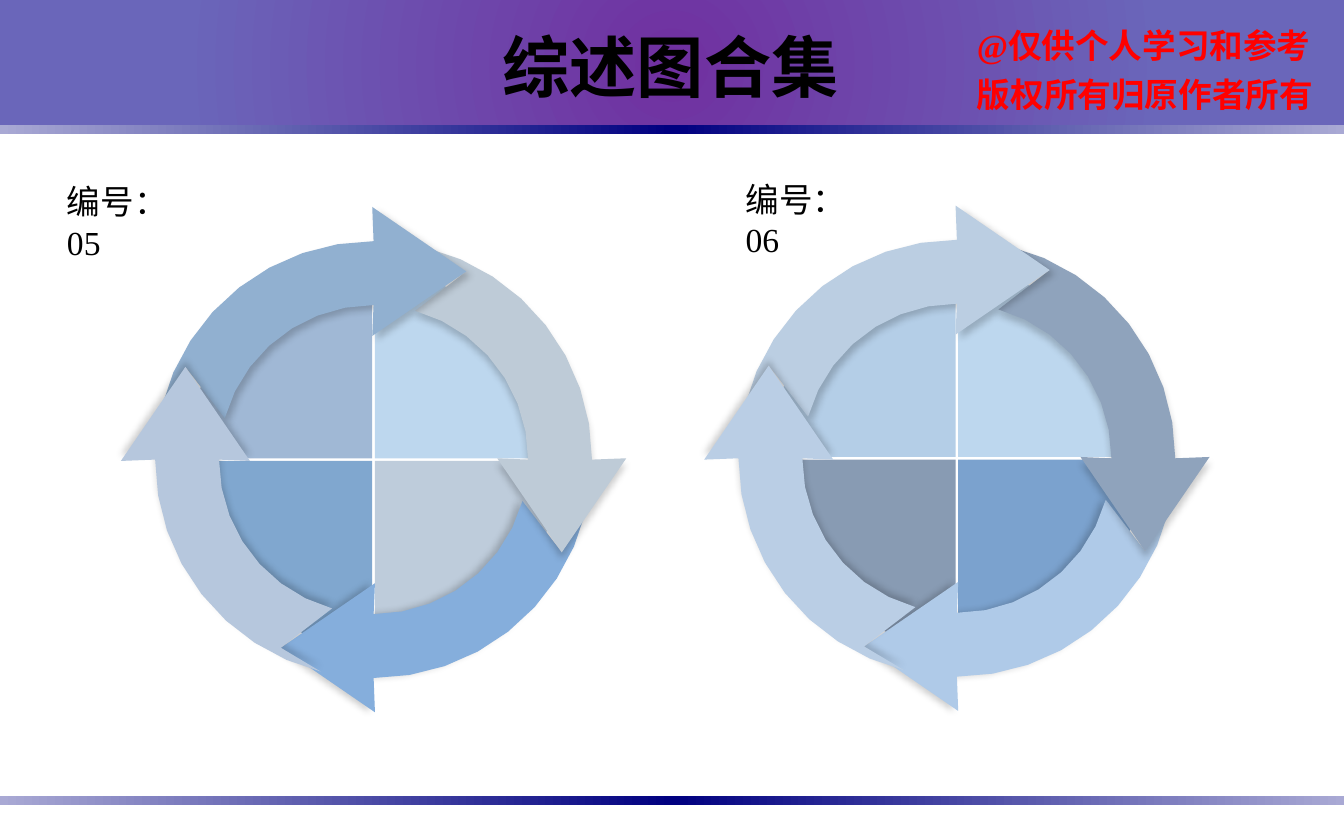
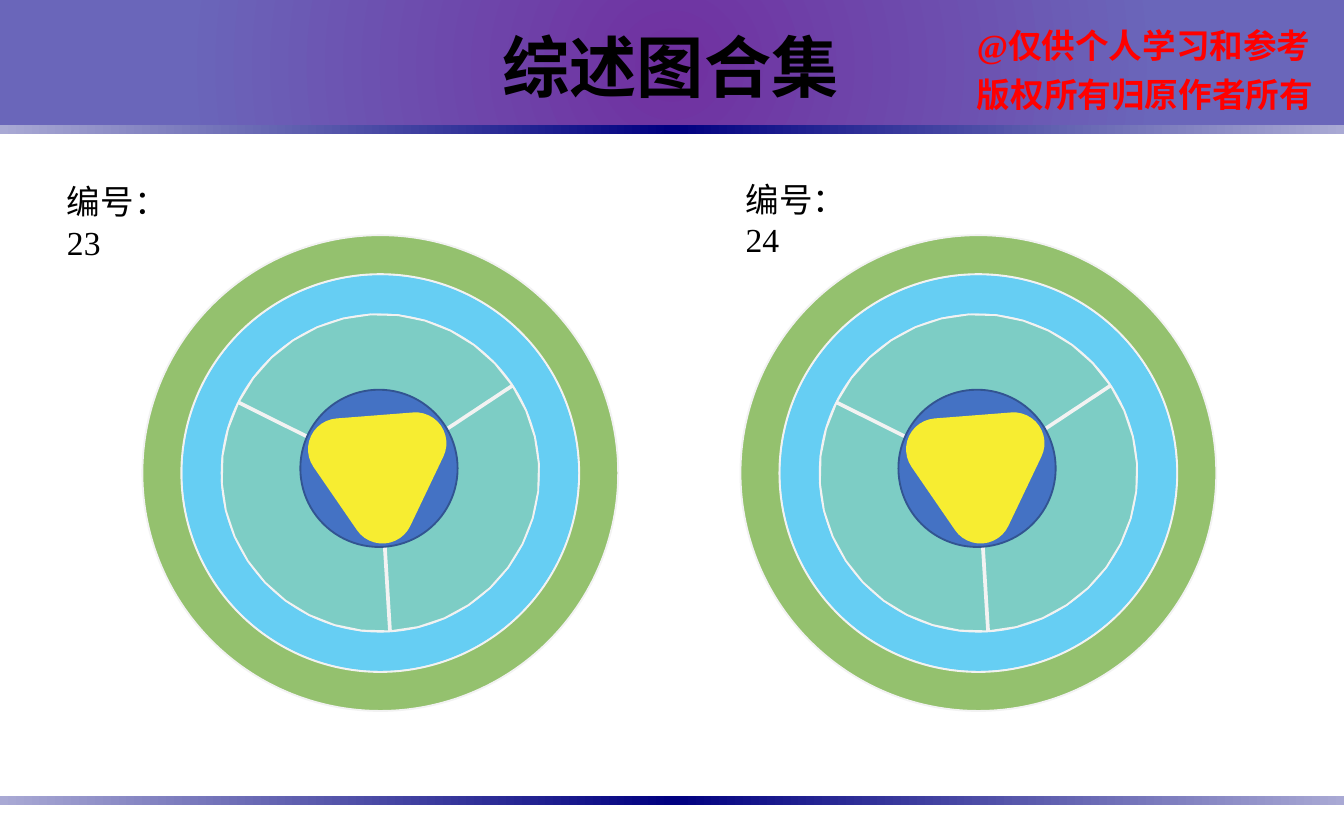
from dataclasses import dataclass
from math import cos, radians, sin

from lxml.etree import SubElement
from pptx import Presentation
from pptx.dml.color import RGBColor as Color
from pptx.enum.shapes import MSO_SHAPE as Preset
from pptx.enum.text import MSO_AUTO_SIZE as AutoSize, PP_ALIGN as Align
from pptx.oxml.ns import qn
from pptx.util import Inches, Pt

COLUMNS, ROWS = 100, 62.5
CELL = Inches(0.1)


@dataclass(frozen=True)
class Theme:
    title_font: str = "Arial"
    body_font: str = "Times New Roman"
    title_size: int = 36
    body_size: int = 18
    ink: str = "000000"
    notice: str = "FF0000"
    header: tuple = ((0, "7030A0"), (73, "6A66BA"))
    rule: tuple = ((0, "A9A9D4"), (50, "000080"), (100, "A9A9D4"))
    outline: str = "F2F2F2"
    outer_ring: str = "94C16E"
    middle_ring: str = "66CEF3"
    core: str = "7DCDC5"
    hub: str = "4472C4"
    hub_line: str = "325491"
    badge: str = "F7ED31"


def polar(center, radius, angle):
    """Point at a clockwise angle in degrees, measured from the right."""
    return (center[0] + radius * cos(radians(angle)),
            center[1] + radius * sin(radians(angle)))


def arc(center, radius, start, sweep):
    """Points along an arc, about ten degrees apart."""
    steps = round(abs(sweep) / 10)
    return [polar(center, radius, start + sweep * step / steps)
            for step in range(steps + 1)]


class Deck:
    def __init__(self, theme):
        self.theme = theme
        self.presentation = Presentation()
        self.presentation.slide_width = int(COLUMNS * CELL)
        self.presentation.slide_height = int(ROWS * CELL)
        self.slide = None

    def cells(self, *lengths):
        return [round(length * CELL) for length in lengths]

    # Elements
    def style(self, shape, fill=None, line=None):
        shape.shadow.inherit = False
        if fill:
            shape.fill.solid()
            shape.fill.fore_color.rgb = Color.from_string(fill)
        if line:
            shape.line.color.rgb = Color.from_string(line)
            shape.line.width = Pt(1)
        else:
            shape.line.fill.background()
        return shape

    def preset(self, kind, box, fill=None, line=None):
        shape = self.slide.shapes.add_shape(kind, *self.cells(*box))
        return self.style(shape, fill, line)

    def circle(self, center, radius, fill, line, kind=Preset.OVAL):
        box = (center[0] - radius, center[1] - radius, 2 * radius, 2 * radius)
        return self.preset(kind, box, fill, line)

    def ring(self, center, outer, inner, fill, line):
        shape = self.circle(center, outer, fill, line, Preset.DONUT)
        shape.adjustments[0] = (outer - inner) / (2 * outer)

    def gradient(self, box, stops, radial=False):
        shape = self.preset(Preset.RECTANGLE, box)
        shape.fill.gradient()
        fill = shape._element.spPr.find(qn("a:gradFill"))
        for child in list(fill):
            fill.remove(child)
        stop_list = SubElement(fill, qn("a:gsLst"))
        for position, color in stops:
            stop = SubElement(stop_list, qn("a:gs"), pos=str(position * 1000))
            SubElement(stop, qn("a:srgbClr"), val=color)
        if radial:
            path = SubElement(fill, qn("a:path"), path="circle")
            SubElement(path, qn("a:fillToRect"),
                       dict.fromkeys("ltrb", "50000"))
        else:
            SubElement(fill, qn("a:lin"), ang="0", scaled="1")

    def outline(self, points, fill, line=None):
        start, *others = [self.cells(*point) for point in points]
        builder = self.slide.shapes.build_freeform(*start)
        builder.add_line_segments(others, close=True)
        return self.style(builder.convert_to_shape(), fill, line)

    def sector(self, center, radius, start, sweep, gap, fill, line=None):
        tip = polar(center, gap, start + sweep / 2)
        self.outline([tip] + arc(tip, radius, start, sweep), fill, line)

    def cast_shadow(self, shape, direction):
        effects = shape._element.spPr.find(qn("a:effectLst"))
        shadow = SubElement(effects, qn("a:outerShdw"), blurRad=str(Pt(4)),
                            dist=str(Pt(3)), dir=str(direction * 60000),
                            algn="ctr", rotWithShape="0")
        color = SubElement(shadow, qn("a:srgbClr"), val=self.theme.ink)
        SubElement(color, qn("a:alpha"), val="20000")

    def text(self, box, lines, font, size, color, bold=False, wrap=False,
             spacing=None):
        shape = self.slide.shapes.add_textbox(*self.cells(*box))
        frame = shape.text_frame
        frame.word_wrap = wrap
        frame.auto_size = AutoSize.NONE if wrap else AutoSize.SHAPE_TO_FIT_TEXT
        for index, (words, align) in enumerate(lines):
            paragraph = frame.paragraphs[0] if index == 0 else frame.add_paragraph()
            paragraph.alignment = align
            if spacing:
                paragraph.line_spacing = spacing
            run = paragraph.add_run()
            run.text = words
            run.font.name = font
            run.font.size = Pt(size)
            run.font.bold = bold
            run.font.color.rgb = Color.from_string(color)
        return frame

    # Shared page parts
    def new_slide(self, numbers):
        theme = self.theme
        self.slide = self.presentation.slides.add_slide(
            self.presentation.slide_layouts[6])
        self.gradient((0, -0.1, COLUMNS, 9.9), theme.header, radial=True)
        for top in (9.3, 59.2):
            self.gradient((0, top, COLUMNS, 0.7), theme.rule)
        self.text((71.7, 0.8, 27.6, 7.9),
                  [("@仅供个人学习和参考", Align.LEFT),
                   ("版权所有归原作者所有", Align.CENTER)],
                  theme.body_font, theme.body_size, theme.notice,
                  bold=True, spacing=1.2)
        self.text((36.4, 1.4, 27.3, 7.1), [("综述图合集", Align.LEFT)],
                  theme.title_font, theme.title_size, theme.ink, bold=True)
        for (left, top), number in zip(((4, 13), (54.5, 12.8)), numbers):
            frame = self.text((left, top, 12.1, 4),
                              [(f"编号：{number}", Align.LEFT)],
                              theme.body_font, theme.body_size, theme.ink,
                              wrap=True)
            frame.margin_right = Inches(0.2)

    # Diagrams
    def arrow_wheel(self, center, quarters, arrows):
        """Quarters run clockwise from lower right; arrows from the bottom."""
        for index, fill in enumerate(quarters):
            self.sector(center, 13.85, index * 90, 90, 0.14, fill)
        # Arrow over the top left, pointing right, turned for each side
        origin = (0, 0)
        arrow = [(6.9, -14), (-0.1, -9.2),
                 *arc(origin, 11.5, 270, -74.4),
                 (-14, -6.9),
                 *arc(origin, 16.25, 194, 76),
                 (-0.1, -18.8)]
        turns = ((180, 180), (90, 90), (0, 45), (270, 270))
        for (turn, direction), fill in zip(turns, arrows):
            cosine, sine = cos(radians(turn)), sin(radians(turn))
            points = [(center[0] + x * cosine - y * sine,
                       center[1] + x * sine + y * cosine) for x, y in arrow]
            self.cast_shadow(self.outline(points, fill), direction)

    def target(self, center):
        theme = self.theme
        self.ring(center, 14.8, 11.8, theme.middle_ring, theme.outline)
        self.ring(center, 17.7, 14.8, theme.outer_ring, theme.outline)
        spokes = [86.5 + 120 * index for index in range(3)]
        for angle in spokes:
            self.sector(center, 11.75, angle, 120, 0.08,
                        theme.core, theme.outline)
        hub = (center[0] - 0.1, center[1] - 0.35)
        self.circle(hub, 5.85, theme.hub, theme.hub_line)
        # Rounded triangle: one arc round each corner
        corners = [arc(polar(hub, 3.3, angle - 1), 2.3, angle - 61, 120)
                   for angle in spokes]
        self.outline(sum(corners, []), theme.badge)


def main():
    deck = Deck(Theme())

    # Arrow wheels
    deck.new_slide(("05", "06"))
    deck.arrow_wheel((27.8, 34.2),
                     ("BECCDB", "80A7CF", "A0B8D5", "BDD7EE"),
                     ("85AEDC", "BECBD7", "91B0D0", "B6C7DD"))
    deck.arrow_wheel((71.2, 34.1),
                     ("7BA2CE", "889BB3", "B4CEE7", "BDD7EE"),
                     ("AFCAE8", "8FA3BC", "BBCEE2", "BACEE5"))

    # Ring targets
    deck.new_slide(("23", "24"))
    for column in (28.3, 72.8):
        deck.target((column, 35.2))

    deck.presentation.save("out.pptx")


if __name__ == "__main__":
    main()
